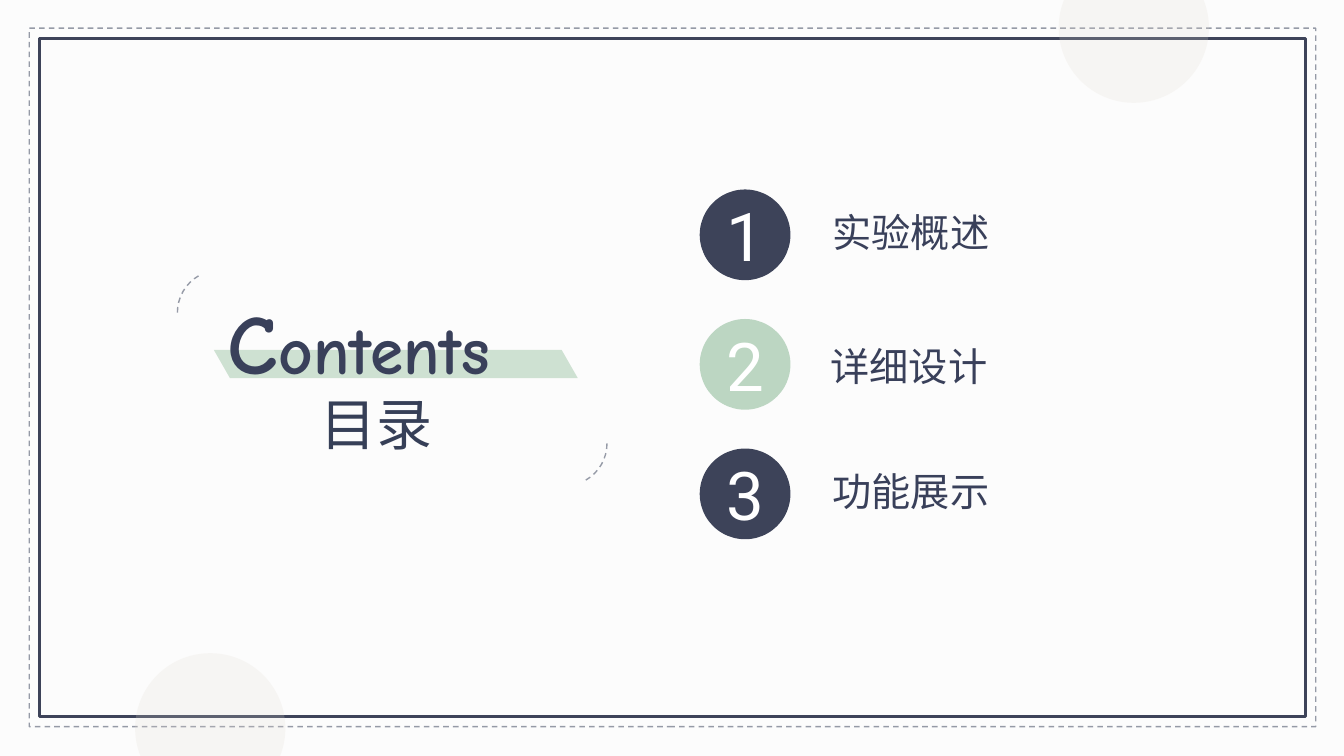
from dataclasses import dataclass

from lxml.etree import SubElement
from pptx import Presentation
from pptx.dml.color import RGBColor
from pptx.enum.dml import MSO_LINE
from pptx.enum.shapes import MSO_SHAPE as SHAPE
from pptx.enum.text import MSO_ANCHOR as ANCHOR, MSO_AUTO_SIZE as FIT, PP_ALIGN as ALIGN
from pptx.oxml.ns import qn
from pptx.util import Inches, Pt

WIDTH, HEIGHT = 13.33, 7.5


@dataclass(frozen=True)
class Theme:
    navy: str = "3D4359"
    text: str = "39405A"
    subtitle: str = "363F57"
    outline: str = "2F3952"
    arc: str = "969BA7"
    green: str = "BCD6C2"
    band: str = "CEE1D2"
    paper: str = "F2F2F2"
    sand: str = "E1DAD0"
    white: str = "FFFFFF"
    font: str = "Roboto"
    title_font: str = "Comic Neue"
    initial: int = 60
    large: int = 48
    medium: int = 40
    label: int = 28


THEME = Theme()
TOPICS = ["实验概述", "详细设计", "功能展示"]


def set_alpha(color_format_parent, percent):
    """Make the solid colour found below an XML element partly transparent."""
    color = color_format_parent.find(".//" + qn("a:srgbClr"))
    SubElement(color, qn("a:alpha"), val=str(percent * 1000))


def paint(sp, fill=None, alpha=None, line=None, width=1, dash=False, line_alpha=None):
    sp.shadow.inherit = False
    if fill:
        sp.fill.solid()
        sp.fill.fore_color.rgb = RGBColor.from_string(fill)
        if alpha:
            set_alpha(sp._element.spPr.find(qn("a:solidFill")), alpha)
    else:
        sp.fill.background()
    if line:
        sp.line.color.rgb = RGBColor.from_string(line)
        sp.line.width = Pt(width)
        if dash:
            sp.line.dash_style = MSO_LINE.DASH
        if line_alpha:
            set_alpha(sp._element.spPr.find(qn("a:ln")), line_alpha)
    else:
        sp.line.fill.background()
    return sp


def add_shape(slide, kind, box, **style):
    return paint(slide.shapes.add_shape(kind, *map(Inches, box)), **style)


def set_font(font, size, color, name=THEME.font, bold=None):
    font.size, font.name, font.bold = Pt(size), name, bold
    font.color.rgb = RGBColor.from_string(color)


def add_label(slide, box, text, size, color):
    tf = slide.shapes.add_textbox(*map(Inches, box)).text_frame
    tf.word_wrap, tf.auto_size = False, FIT.SHAPE_TO_FIT_TEXT
    p = tf.paragraphs[0]
    p.text = text
    set_font(p.font, size, color)


def draw_backdrop(slide, width, height):
    add_shape(slide, SHAPE.RECTANGLE, (0, 0, width, height), fill=THEME.paper, alpha=20)
    left, top, gap = 0.39, 0.38, 0.1
    w, h = 12.56, 6.73
    add_shape(slide, SHAPE.RECTANGLE, (left, top, w, h), line=THEME.navy, width=2.25)
    add_shape(slide, SHAPE.RECTANGLE, (left - gap, top - gap, w + 2 * gap, h + 2 * gap),
              line=THEME.outline, dash=True, line_alpha=50)
    disc = 1.49
    for x, y in ((10.5, -0.47), (1.34, 6.48)):
        add_shape(slide, SHAPE.OVAL, (x, y, disc, disc), fill=THEME.sand, alpha=20)


def draw_topics(slide, left, top, pitch):
    disc = 0.9
    label_offsets = ((1.22, 0.14), (1.2, 0.18), (1.22, 0.14))
    for i, (topic, (dx, dy)) in enumerate(zip(TOPICS, label_offsets)):
        y = top + i * pitch
        sp = add_shape(slide, SHAPE.OVAL, (left, y, disc, disc),
                       fill=THEME.green if i % 2 else THEME.navy)
        tf = sp.text_frame
        tf.vertical_anchor = ANCHOR.MIDDLE
        p = tf.paragraphs[0]
        p.text, p.alignment = str(i + 1), ALIGN.CENTER
        set_font(p.font, THEME.large, THEME.white)
        add_label(slide, (left + dx, y + dy, 1.76, 0.57), topic, THEME.label, THEME.text)


def draw_heading(slide, left, top, width, height):
    """Title on a slanted band, held between two corner arcs."""
    arc = 0.84
    corners = ((left, top, 270), (left + width - arc, top + height - arc, 90))
    for x, y, turn in corners:
        sp = add_shape(slide, SHAPE.ARC, (x, y, arc, arc), line=THEME.arc, dash=True)
        sp.rotation = turn
        sp.adjustments[0], sp.adjustments[1] = 162, 198  # 270 and 330 degrees

    add_label(slide, (left + 1.32, top + 1.14, 1.31, 0.77), "目录",
              THEME.medium, THEME.subtitle)

    x, y, length, slant, depth = left + 0.36, top + 0.79, 3.45, 0.16, 0.28
    band = slide.shapes.build_freeform(Inches(x), Inches(y), scale=1)
    corners = ((x + length, y), (x + length + slant, y + depth), (x + slant, y + depth))
    band.add_line_segments([(Inches(px), Inches(py)) for px, py in corners], close=True)
    paint(band.convert_to_shape(), fill=THEME.band)

    title = slide.shapes.title
    slide.shapes._spTree.append(title._element)  # bring in front of the band
    title.left, title.top = Inches(left + 0.4), Inches(top + 0.15)
    title.width, title.height = Inches(3.07), Inches(1.09)
    tf = title.text_frame
    tf.word_wrap, tf.auto_size = False, FIT.SHAPE_TO_FIT_TEXT
    tf.vertical_anchor = ANCHOR.TOP
    p = tf.paragraphs[0]
    p.alignment = ALIGN.LEFT
    for text, size in (("C", THEME.initial), ("ontents", THEME.large)):
        r = p.add_run()
        r.text = text
        set_font(r.font, size, THEME.text, THEME.title_font, bold=True)


def main():
    prs = Presentation()
    prs.slide_width, prs.slide_height = Inches(WIDTH), Inches(HEIGHT)
    slide = prs.slides.add_slide(prs.slide_layouts[5])
    draw_backdrop(slide, WIDTH, HEIGHT)
    draw_topics(slide, left=6.94, top=1.88, pitch=1.285)
    draw_heading(slide, left=1.76, top=2.68, width=4.26, height=2.14)
    prs.save("out.pptx")


if __name__ == "__main__":
    main()
